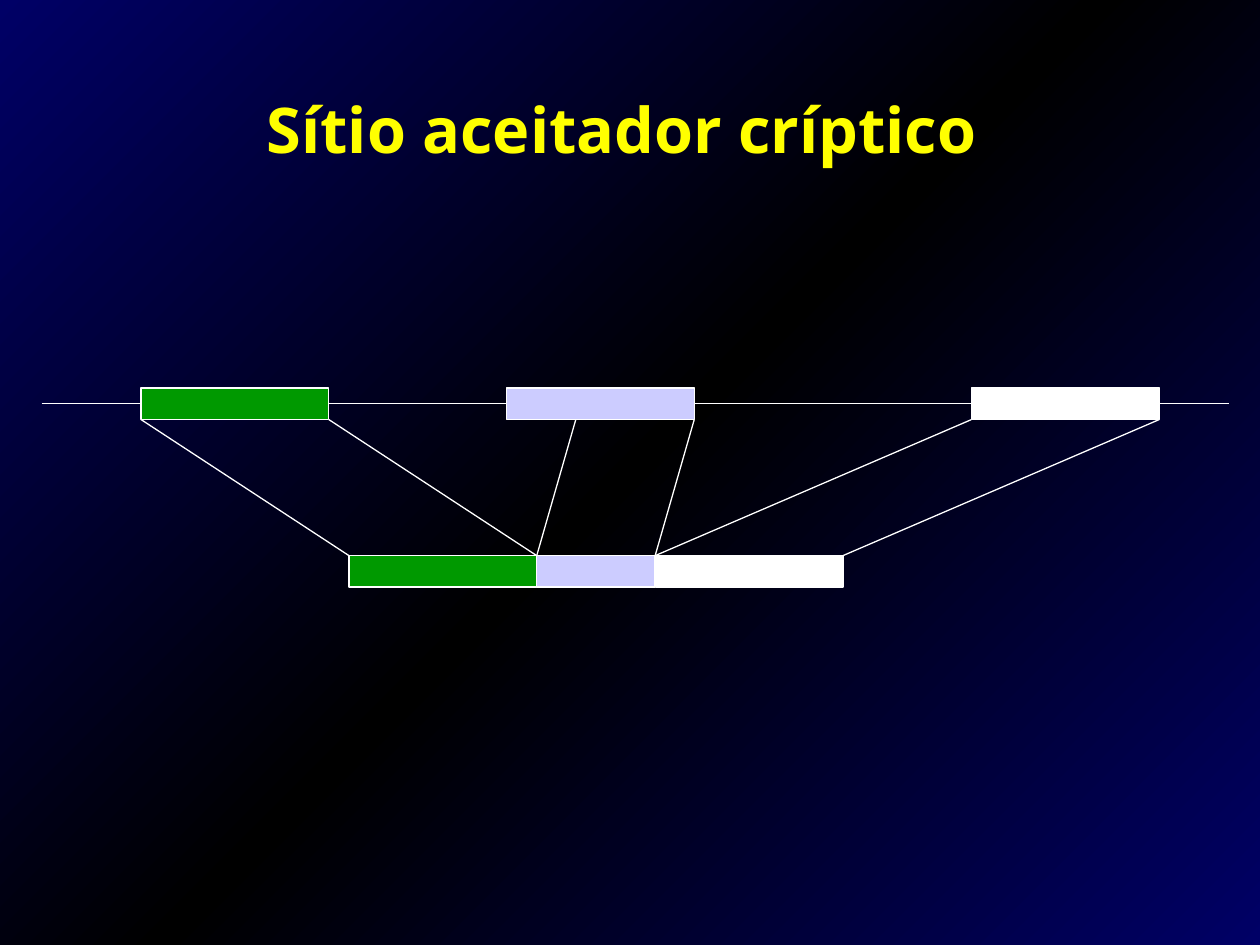
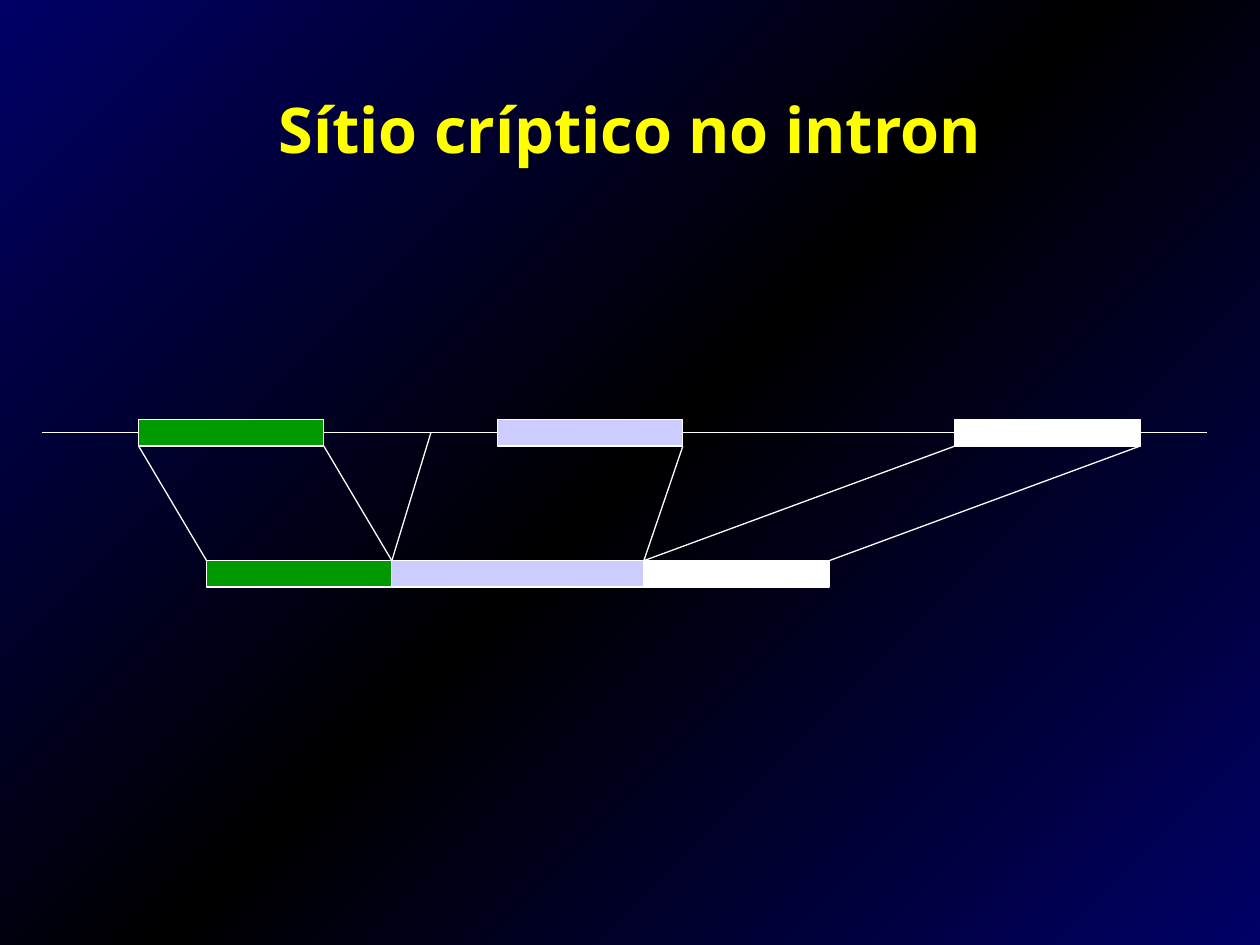
"""Build two slides on cryptic splice sites."""
from copy import deepcopy
from dataclasses import dataclass

from lxml import etree
from pptx import Presentation
from pptx.dml.color import RGBColor
from pptx.enum.shapes import MSO_CONNECTOR, MSO_SHAPE
from pptx.enum.text import MSO_AUTO_SIZE, PP_ALIGN
from pptx.oxml.ns import qn
from pptx.util import Inches, Pt

STRAIGHT = MSO_CONNECTOR.STRAIGHT
RECTANGLE = MSO_SHAPE.RECTANGLE
CENTER = PP_ALIGN.CENTER
GROW = MSO_AUTO_SIZE.SHAPE_TO_FIT_TEXT
LEFT_SIDE, RIGHT_SIDE = 1, 3


@dataclass(frozen=True)
class Theme:
    """Colours, font and sizes shared by the slides."""
    edge: RGBColor = RGBColor(0x00, 0x00, 0x66)
    middle: RGBColor = RGBColor(0x00, 0x00, 0x00)
    title: RGBColor = RGBColor(0xFF, 0xFF, 0x00)
    line: RGBColor = RGBColor(0xFF, 0xFF, 0xFF)
    exons: tuple = (RGBColor(0x00, 0x99, 0x00), RGBColor(0xCC, 0xCC, 0xFF),
                    RGBColor(0xFF, 0xFF, 0xFF))
    font: str = "Open Sans"
    title_size: Pt = Pt(36)
    title_space: Pt = Pt(22.5)
    line_width: Pt = Pt(0.75)


@dataclass(frozen=True)
class Splicing:
    """Measures, in inches, of one gene and its spliced transcript."""
    title: str
    exon_lefts: tuple
    exon_width: float
    exon_height: float
    gene_top: float
    gene_end: float
    cryptic_site: float
    transcript_left: float
    transcript_top: float
    gene_start: float = 0.33


THEME = Theme()
SLIDES = (
    Splicing("Sítio aceitador críptico ", (1.12, 4.02, 7.71), 1.49, 0.25,
             3.08, 9.75, 4.57, 2.77, 4.41),
    Splicing("Sítio críptico no intron", (1.1, 3.95, 7.58), 1.47, 0.21,
             3.33, 9.58, 3.42, 1.64, 4.45),
)


def apply_format(target, values):
    """Set each named attribute on the target."""
    for name, value in values.items():
        setattr(target, name, value)


def paint_background(slide):
    """Fill the slide with the diagonal three-stop gradient."""
    fill = slide.background.fill
    fill.gradient()
    fill.gradient_angle = 135
    stop_list = slide.element.find(".//" + qn("a:gsLst"))
    stop_list.insert(1, deepcopy(stop_list[0]))
    colours = (THEME.edge, THEME.middle, THEME.edge)
    for stop, colour, position in zip(fill.gradient_stops, colours, (0, 0.5, 1)):
        stop.color.rgb = colour
        stop.position = position


def add_title(slide, text):
    """Add the centred title across the slide."""
    frame = slide.shapes.add_textbox(0, Inches(0.67), Inches(10), Inches(0.7)).text_frame
    apply_format(frame, {"word_wrap": True, "auto_size": GROW})
    paragraph = frame.paragraphs[0]
    apply_format(paragraph, {"alignment": CENTER, "space_before": THEME.title_space})
    run = paragraph.add_run()
    run.text = text
    apply_format(run.font, {"name": THEME.font, "size": THEME.title_size, "bold": True})
    run.font.color.rgb = THEME.title


def style_line(line):
    """Give an outline or connector the shared line style."""
    line.color.rgb = THEME.line
    line.width = THEME.line_width


def add_exon(slide, left, top, width, height, colour):
    """Add one outlined exon block."""
    exon = slide.shapes.add_shape(RECTANGLE, Inches(left), Inches(top),
                                  Inches(width), Inches(height))
    exon.shadow.inherit = False
    exon.fill.solid()
    exon.fill.fore_color.rgb = colour
    style_line(exon.line)
    return exon


def add_line(slide, start, end):
    """Add a straight line between two points."""
    connector = slide.shapes.add_connector(STRAIGHT, *map(Inches, start + end))
    style_line(connector.line)
    etree.SubElement(connector.element.spPr, qn("a:effectLst"))
    return connector


def add_gene(slide, plan):
    """Draw the exons and the intron lines that join them."""
    exons = [add_exon(slide, left, plan.gene_top, plan.exon_width, plan.exon_height, colour)
             for left, colour in zip(plan.exon_lefts, THEME.exons)]
    axis = plan.gene_top + plan.exon_height / 2
    starts = [plan.gene_start] + [left + plan.exon_width for left in plan.exon_lefts]
    ends = list(plan.exon_lefts) + [plan.gene_end]
    for start, end, before, after in zip(starts, ends, [None] + exons, exons + [None]):
        intron = add_line(slide, (start, axis), (end, axis))
        if before:
            intron.begin_connect(before, RIGHT_SIDE)
        if after:
            intron.end_connect(after, LEFT_SIDE)


def add_transcript(slide, plan):
    """Draw the retained segments and the lines tracing them to the gene."""
    first, second, third = plan.exon_lefts
    bottom = plan.gene_top + plan.exon_height
    axis = plan.gene_top + plan.exon_height / 2
    site_height = axis if plan.cryptic_site < second else bottom
    segments = ((first, first, bottom), (second, plan.cryptic_site, site_height),
                (third, third, bottom))
    left = plan.transcript_left
    for (exon_left, source, source_height), colour in zip(segments, THEME.exons):
        source_end = exon_left + plan.exon_width
        width = source_end - source
        add_exon(slide, left, plan.transcript_top, width, plan.exon_height, colour)
        add_line(slide, (source, source_height), (left, plan.transcript_top))
        left += width
        add_line(slide, (source_end, bottom), (left, plan.transcript_top))


def main():
    """Build and save the presentation."""
    deck = Presentation()
    apply_format(deck, {"slide_width": Inches(10), "slide_height": Inches(7.5)})
    for plan in SLIDES:
        slide = deck.slides.add_slide(deck.slide_layouts[6])
        paint_background(slide)
        add_title(slide, plan.title)
        add_gene(slide, plan)
        add_transcript(slide, plan)
    deck.save("out.pptx")


if __name__ == "__main__":
    main()
